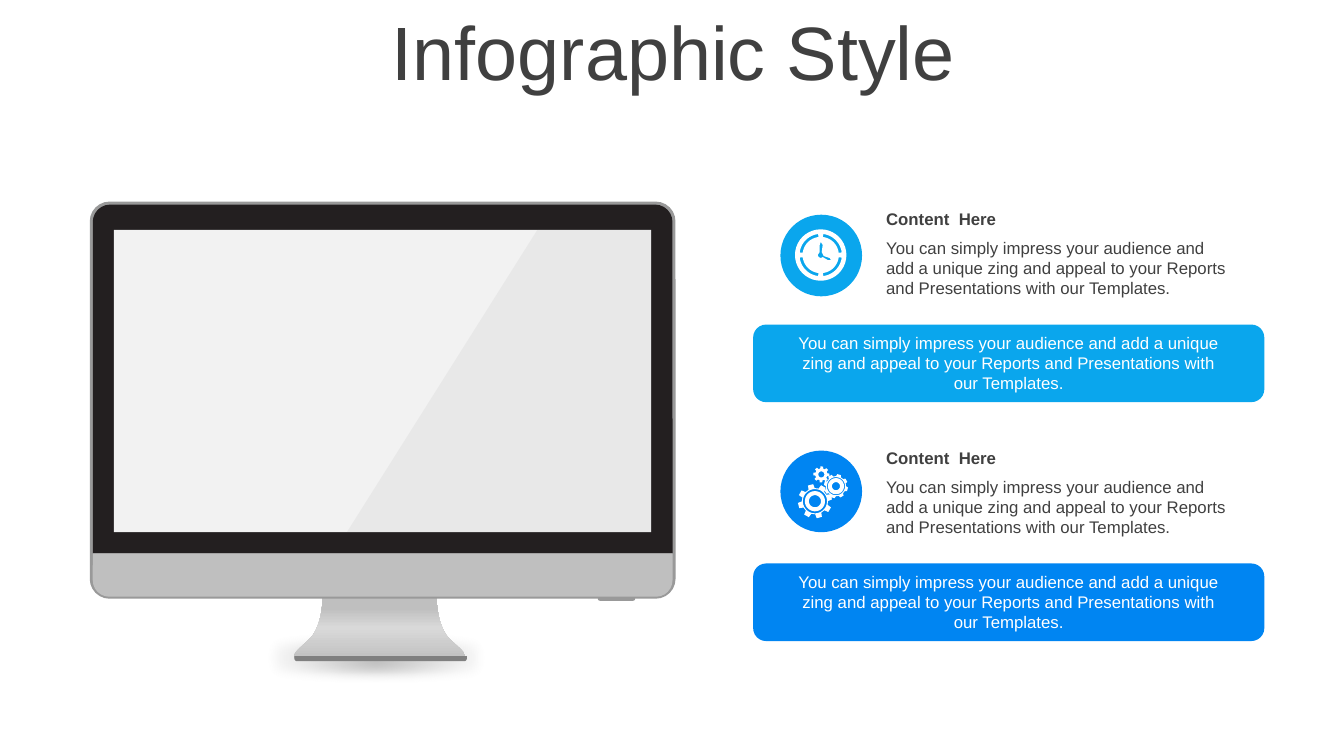
from math import cos, radians, sin

from lxml.etree import SubElement
from pptx import Presentation
from pptx.dml.color import RGBColor
from pptx.enum.shapes import MSO_SHAPE as Preset
from pptx.enum.text import MSO_ANCHOR as Anchor, MSO_AUTO_SIZE as AutoSize, PP_ALIGN as Align
from pptx.oxml import parse_xml
from pptx.oxml.ns import nsdecls, qn
from pptx.util import Inches, Pt

PROMISE = ("You can simply impress your audience and add a unique zing and appeal "
           "to your Reports and Presentations with our Templates.")
DARK, WHITE, STEEL, SILVER = "404040", "FFFFFF", "999999", "BFBFBF"
ROW_PITCH = 2.37


def rgb(code):
    return RGBColor.from_string(code)


def polar(cx, cy, radius, degrees):
    angle = radians(degrees)
    return cx + radius * sin(angle), cy - radius * cos(angle)


def arc(cx, cy, radius, start=0, end=360, steps=40):
    return [polar(cx, cy, radius, start + (end - start) * i / steps) for i in range(steps + 1)]


def bezier(p0, p1, p2, p3, steps=12):
    points = []
    for i in range(steps + 1):
        t = i / steps
        weights = ((1 - t) ** 3, 3 * t * (1 - t) ** 2, 3 * t * t * (1 - t), t ** 3)
        points.append(tuple(sum(w * p[axis] for w, p in zip(weights, (p0, p1, p2, p3)))
                            for axis in (0, 1)))
    return points


def gear(cx, cy, tip, root, rings, phase=0):
    teeth = [polar(cx, cy, radius, phase + 45 * tooth + turn)
             for tooth in range(8)
             for turn, radius in ((-14, root), (-9, tip), (9, tip), (14, root))]
    return [teeth] + [arc(cx, cy, ring) for ring in rings]


class InfographicSlide:
    font = "Arial"

    def __init__(self, deck):
        self.slide = deck.slides.add_slide(deck.slide_layouts[5])
        self.shapes = self.slide.shapes

    def paint(self, shape, color, alpha=None):
        shape.shadow.inherit = False
        shape.line.fill.background()
        shape.fill.solid()
        shape.fill.fore_color.rgb = rgb(color)
        if alpha is not None:
            tint = shape._element.spPr.find(qn("a:solidFill"))[0]
            SubElement(tint, qn("a:alpha")).set("val", str(alpha * 1000))
        return shape

    def gradient(self, shape, stops, direction):
        stop_xml = "".join(
            f'<a:gs pos="{pos * 1000}"><a:srgbClr val="{color}">'
            f'<a:alpha val="{alpha * 1000}"/></a:srgbClr></a:gs>'
            for pos, color, alpha in stops)
        properties = shape._element.spPr
        properties.replace(properties.find(qn("a:solidFill")), parse_xml(
            f'<a:gradFill {nsdecls("a")} rotWithShape="1"><a:gsLst>{stop_xml}</a:gsLst>'
            f'{direction}</a:gradFill>'))

    def soften(self, shape, radius):
        effects = shape._element.spPr.find(qn("a:effectLst"))
        SubElement(effects, qn("a:softEdge")).set("rad", str(int(radius)))

    def preset(self, kind, box, color, corners=()):
        shape = self.shapes.add_shape(kind, *map(Inches, box))
        for index, corner in enumerate(corners):
            shape.adjustments[index] = corner
        return self.paint(shape, color)

    def outline(self, contours, color, alpha=None):
        scaled = [[(Inches(x), Inches(y)) for x, y in contour] for contour in contours]
        builder = self.shapes.build_freeform(*scaled[0][0], scale=1.0)
        for index, contour in enumerate(scaled):
            if index:
                builder.move_to(*contour[0])
            builder.add_line_segments(contour[1:], close=True)
        return self.paint(builder.convert_to_shape(), color, alpha)

    def add_words(self, frame, words, size, color, bold=False, align=Align.LEFT,
                  anchor=Anchor.TOP):
        frame.word_wrap = True
        frame.vertical_anchor = anchor
        paragraph = frame.paragraphs[0]
        paragraph.alignment = align
        run = paragraph.add_run()
        run.text = words
        run.font.name, run.font.size, run.font.bold = self.font, Pt(size), bold
        run.font.color.rgb = rgb(color)
        return paragraph

    def title(self, words, box):
        heading = self.shapes.title
        heading.left, heading.top, heading.width, heading.height = map(Inches, box)
        heading.text_frame.auto_size = AutoSize.NONE
        self.add_words(heading.text_frame, words, 54, DARK,
                       align=Align.CENTER, anchor=Anchor.MIDDLE).line_spacing = 0.9

    def text(self, words, box, color=DARK, **style):
        frame = self.shapes.add_textbox(*map(Inches, box)).text_frame
        self.add_words(frame, words, 12, color, **style)

    def monitor(self):
        shade = self.preset(Preset.OVAL, (1.35, 6.27, 4.75, 0.51), "808080")
        self.gradient(shade, [(0, "808080", 50), (48, "808080", 0), (100, "808080", 0)],
                      '<a:path path="circle"><a:fillToRect l="50000" t="50000" '
                      'r="50000" b="50000"/></a:path>')
        self.soften(shade, Pt(8))

        axis = 3.765
        right = (bezier((4.33, 5.93), (4.33, 5.93), (4.33, 6.2), (4.45, 6.33))
                 + bezier((4.45, 6.33), (4.57, 6.45), (4.76, 6.56), (4.44, 6.56)))
        left = [(2 * axis - x, y) for x, y in reversed(right)]
        stand = self.outline([right + left], SILVER)
        self.gradient(stand, [(0, SILVER, 100), (53, "D9D9D9", 100),
                              (83, SILVER, 100), (100, SILVER, 100)],
                      '<a:lin ang="16200000" scaled="0"/>')

        self.preset(Preset.ROUNDED_RECTANGLE, (0.89, 2, 5.81, 3.94), STEEL, [0.05])
        rounded_ends = Preset.ROUND_2_SAME_RECTANGLE
        self.preset(rounded_ends, (5.93, 5.92, 0.37, 0.04), STEEL, [0, 0.5])
        self.preset(rounded_ends, (0.92, 2.03, 5.75, 3.46), "231F20", [0.05, 0])
        self.preset(rounded_ends, (2.92, 6.51, 1.71, 0.05), "808080", [0, 0.5])
        self.preset(rounded_ends, (0.92, 5.49, 5.75, 0.43), SILVER, [0, 0.38])
        self.preset(Preset.RECTANGLE, (1.13, 2.28, 5.33, 3), "F2F2F2")
        self.outline([[(5.33, 2.28), (6.46, 2.28), (6.46, 5.28), (3.44, 5.28)]], STEEL, 10)

    def clock(self):
        cx, cy = 8.14, 2.53
        dial = [arc(cx, cy, 0.18, start, start + 76, 12)
                + arc(cx, cy, 0.21, start + 76, start, 12) for start in range(7, 360, 90)]
        hands = [(8.14, 2.4), (8.16, 2.43), (8.15, 2.5), (8.17, 2.54), (8.23, 2.56),
                 (8.24, 2.58), (8.21, 2.58), (8.16, 2.55), (8.14, 2.56), (8.12, 2.55),
                 (8.11, 2.53), (8.13, 2.5), (8.13, 2.43)]
        self.outline([arc(cx, cy, 0.255)] + dial + [hands], WHITE)

    def gears(self):
        cogs = (gear(8.06, 4.95, 0.17, 0.13, (0.12, 0.1, 0.06))
                + gear(8.3, 4.86, 0.12, 0.1, (0.09, 0.08, 0.04), -15)
                + gear(8.19, 4.71, 0.08, 0.06, (0.03,), 18))
        self.outline(cogs, WHITE).rotation = 345

    def content(self, row, color, badge_top, icon):
        shift = row * ROW_PITCH
        self.preset(Preset.ROUNDED_RECTANGLE, (7.47, 3.22 + shift, 5.07, 0.77), color)
        self.preset(Preset.OVAL, (7.74, badge_top, 0.81, 0.81), color)
        icon()
        self.text("Content  Here", (8.69, 2.02 + shift, 3.58, 0.3),
                  bold=True, anchor=Anchor.MIDDLE)
        self.text(PROMISE, (8.69, 2.31 + shift, 3.58, 0.71))
        self.text(PROMISE, (7.79, 3.25 + shift, 4.43, 0.71), WHITE, align=Align.CENTER)


def main():
    deck = Presentation()
    deck.slide_width, deck.slide_height = Inches(13.33), Inches(7.5)
    page = InfographicSlide(deck)
    page.title("Infographic Style", (0.35, 0.16, 12.66, 0.79))
    page.monitor()
    page.content(0, "0AA6ED", 2.13, page.clock)
    page.content(1, "0085F2", 4.47, page.gears)
    deck.save("out.pptx")


if __name__ == "__main__":
    main()
